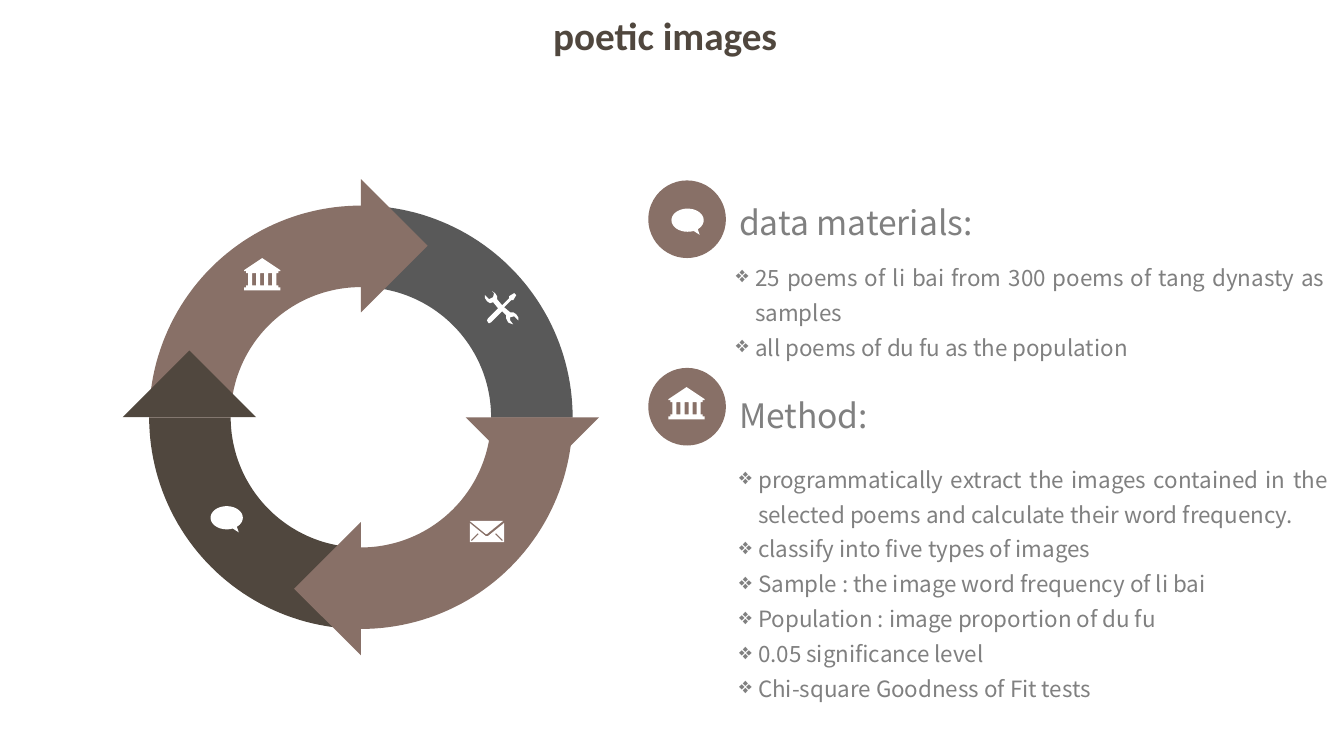
from math import cos, radians, sin

from lxml import etree
from pptx import Presentation
from pptx.dml.color import RGBColor
from pptx.enum.shapes import MSO_SHAPE
from pptx.enum.text import MSO_ANCHOR, PP_ALIGN
from pptx.oxml.ns import qn
from pptx.util import Inches, Pt

OVAL = MSO_SHAPE.OVAL
TOP, MIDDLE = MSO_ANCHOR.TOP, MSO_ANCHOR.MIDDLE
LEFT, CENTER, JUSTIFY = PP_ALIGN.LEFT, PP_ALIGN.CENTER, PP_ALIGN.JUSTIFY
BROWN, DARK, GREY, WHITE, TEXT = "887067", "50473E", "595959", "FFFFFF", "808080"
BODY_FONT, TITLE_FONT = "Noto Sans CJK SC", "Calibri"


def color(value):
    return RGBColor.from_string(value)


def paint(sp, fill):
    sp.shadow.inherit = False
    sp.fill.solid()
    sp.fill.fore_color.rgb = color(fill)
    sp.line.fill.background()


def outline(slide, contours, fill, x=0, y=0):
    """Fill closed contours, given in inches from (x, y); inner ones are holes."""
    builder = None
    for contour in contours:
        points = [(Inches(x + px), Inches(y + py)) for px, py in contour]
        if builder is None:
            builder = slide.shapes.build_freeform(*points[0])
        else:
            builder.move_to(*points[0])
        builder.add_line_segments(points[1:], close=True)
    paint(builder.convert_to_shape(), fill)


def add_text(slide, box, lines, size, font=BODY_FONT, ink=TEXT, bold=False, align=LEFT,
             anchor=TOP, margin=0.0, spacing=1.0, before=0, bullet=None):
    sp = slide.shapes.add_textbox(*map(Inches, box))
    tf = sp.text_frame
    tf.word_wrap = True
    tf.vertical_anchor = anchor
    tf.margin_left = tf.margin_right = Inches(margin)
    tf.margin_top = tf.margin_bottom = Inches(margin / 2)
    for i, line in enumerate(lines):
        p = tf.paragraphs[0] if i == 0 else tf.add_paragraph()
        p.alignment, p.line_spacing, p.space_before = align, spacing, Pt(before)
        r = p.add_run()
        r.text = line
        r.font.size, r.font.bold, r.font.name = Pt(size), bold, font
        r.font.color.rgb = color(ink)
        if bullet:
            pPr = p._p.get_or_add_pPr()
            pPr.set("marL", str(Inches(0.19)))
            pPr.set("indent", str(Inches(-0.19)))
            etree.SubElement(pPr, qn("a:buChar")).set("char", bullet)


def arc(cx, cy, rx, ry, start, end, steps=48):
    angles = [radians(start + (end - start) * i / steps) for i in range(steps + 1)]
    return [(cx + rx * cos(a), cy + ry * sin(a)) for a in angles]


# Icons: contours in inches from the icon's top left corner
def rect(left, top, right, bottom):
    return [(left, top), (right, top), (right, bottom), (left, bottom)]


def mirrored(half, width):
    return half + [(width - x, y) for x, y in reversed(half)]


BUBBLE = [[(0.28, 0.26)] + arc(0.16, 0.115, 0.16, 0.115, 68, 411)]
BANK = [mirrored([(0.18, 0), (0, 0.12), (0, 0.13), (0.02, 0.13), (0.02, 0.15), (0.04, 0.15),
                  (0.04, 0.27), (0.02, 0.27), (0.02, 0.29), (0, 0.29), (0, 0.32)], 0.36)]
BANK += [rect(0.08 * i, 0.15, 0.08 * i + 0.04, 0.27) for i in (1, 2, 3)]
CREASE = [(0.08, 0.12), (0.09, 0.13), (0.02, 0.2), (0.01, 0.19)]
FLAP = [mirrored([(0, 0), (0.16, 0.13)], 0.33)]
LETTER = [mirrored([(0.16, 0.15), (0, 0.02), (0, 0.21)], 0.34),
          CREASE, [(0.34 - x, y) for x, y in CREASE]]
TOOLS = [[(0.31, 0.23), (0.28, 0.21), (0.25, 0.21), (0.19, 0.16), (0.26, 0.09), (0.28, 0.09),
          (0.31, 0.04), (0.29, 0.02), (0.24, 0.05), (0.24, 0.07), (0.17, 0.14), (0.12, 0.08),
          (0.12, 0.05), (0.1, 0.02), (0.07, 0), (0.09, 0.02), (0.08, 0.06), (0.04, 0.08),
          (0, 0.04), (0, 0.07), (0.02, 0.1), (0.05, 0.12), (0.08, 0.11), (0.13, 0.17),
          (0.03, 0.27), (0.02, 0.29), (0.03, 0.31), (0.04, 0.32), (0.06, 0.31), (0.17, 0.2),
          (0.21, 0.24), (0.21, 0.27), (0.23, 0.31), (0.25, 0.32), (0.28, 0.33), (0.25, 0.29),
          (0.25, 0.26), (0.29, 0.25), (0.33, 0.29), (0.33, 0.26)]]


def cycle(slide, left, top, size):
    """Ring of four quarter bands with arrowheads pointing clockwise."""
    radius = size / 2
    cx, cy = left + radius, top + radius
    inner, middle, head = 0.615 * radius, 0.81 * radius, 0.315 * radius
    quarters = [(90, DARK, []), (0, BROWN, [(90, BROWN)]), (270, GREY, [(0, BROWN)]),
                (180, BROWN, [(270, BROWN), (180, DARK)])]
    for start, fill, heads in quarters:
        band = (arc(cx, cy, radius, radius, start, start + 90)
                + arc(cx, cy, inner, inner, start + 90, start))
        outline(slide, [band], fill)
        for angle, head_fill in heads:
            c, s = cos(radians(angle)), sin(radians(angle))
            corners = [(middle - head, 0), (middle + head, 0), (middle, head)]
            outline(slide, [[(cx + u * c - v * s, cy + u * s + v * c) for u, v in corners]],
                    head_fill)
    # Icons on the bands
    icons = [(BUBBLE, 0.145, 0.71), (TOOLS, 0.793, 0.202), (FLAP, 0.757, 0.745),
             (LETTER, 0.757, 0.745), (BANK, 0.224, 0.124)]
    for icon, share_x, share_y in icons:
        outline(slide, icon, WHITE, left + share_x * size, top + share_y * size)


def topic(slide, left, top, icon, icon_at, heading, heading_dy, points, points_at, height):
    """Round badge, heading and bulleted points."""
    paint(slide.shapes.add_shape(OVAL, *map(Inches, (left, top, 0.77, 0.77))), BROWN)
    outline(slide, icon, WHITE, left + icon_at[0], top + icon_at[1])
    add_text(slide, (left + 0.9, top + heading_dy, 5.33, 0.32), [heading], 24,
             spacing=0.9, before=7.5)
    add_text(slide, (left + points_at[0], top + points_at[1], 5.84, height), points, 16,
             align=JUSTIFY, spacing=1.3, bullet="❖")


def main():
    prs = Presentation()
    prs.slide_width, prs.slide_height = Inches(13.33), Inches(7.5)
    slide = prs.slides.add_slide(prs.slide_layouts[6])

    add_text(slide, (4.63, -0.15, 4.02, 0.99), ["poetic images "], 28, font=TITLE_FONT,
             ink=DARK, bold=True, align=CENTER, anchor=MIDDLE, margin=0.1)
    cycle(slide, 1.48, 2.04, 4.2)
    topic(slide, 6.43, 1.79, BUBBLE, (0.23, 0.28), "data materials:", 0.26,
          ["25 poems of li bai from 300 poems of tang dynasty as samples",
           "all poems of du fu as the population"], (0.87, 0.75), 1.49)
    topic(slide, 6.43, 3.65, BANK, (0.2, 0.19), "Method:", 0.31,
          ["programmatically extract the images contained in the selected poems and "
           "calculate their word frequency.",
           "classify into five types of images",
           "Sample : the image word frequency of li bai",
           "Population : image proportion of du fu",
           "0.05 significance level",
           "Chi-square Goodness of Fit tests"], (0.9, 0.89), 2.75)
    prs.save("out.pptx")


if __name__ == "__main__":
    main()
